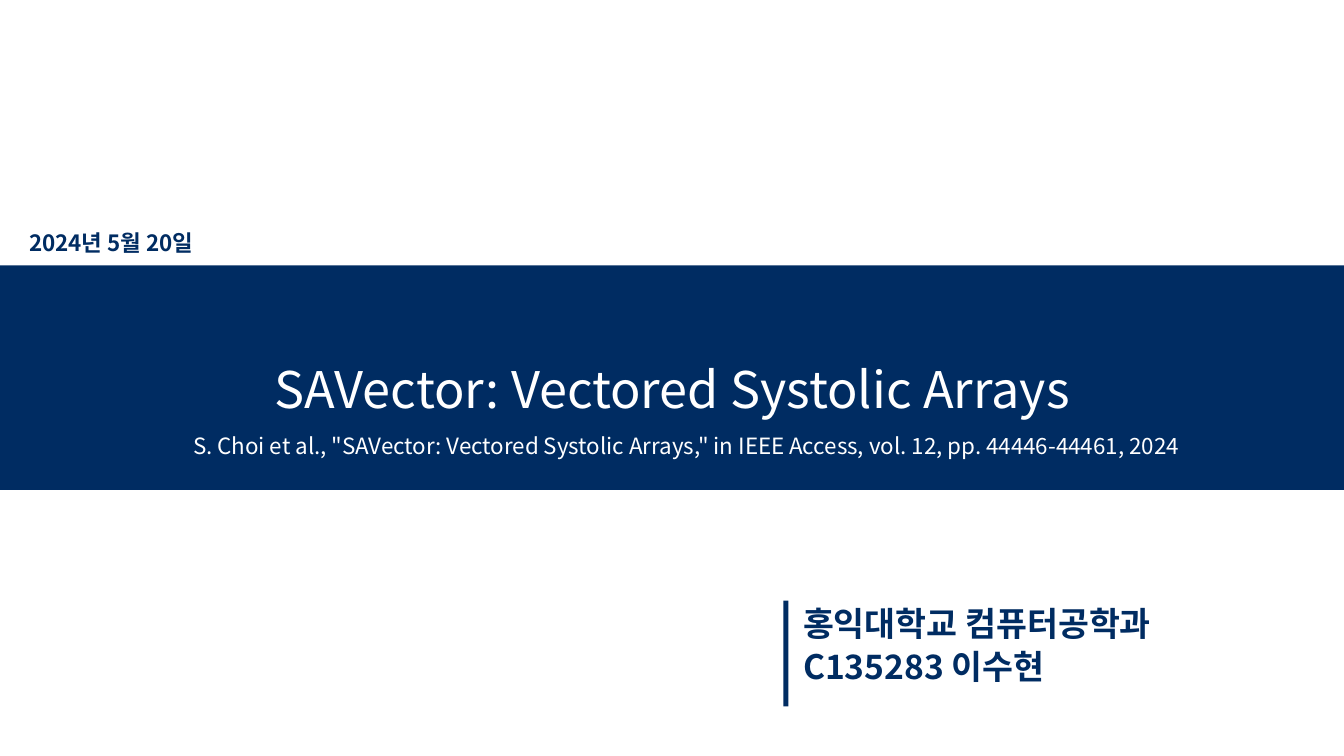
"""Builds the title slide of a talk on vectored systolic arrays."""
from pptx import Presentation
from pptx.dml.color import RGBColor
from pptx.enum.shapes import MSO_SHAPE as Shape
from pptx.enum.text import MSO_ANCHOR as Anchor, MSO_AUTO_SIZE as AutoSize, PP_ALIGN as Align
from pptx.oxml.ns import qn
from pptx.util import Pt

NAVY = RGBColor(0x00, 0x2C, 0x62)
WHITE = RGBColor(0xFF, 0xFF, 0xFF)
FONT = "Noto Sans CJK KR"


def place(box, left, top, width, height):
    box.left, box.top, box.width, box.height = Pt(left), Pt(top), Pt(width), Pt(height)


def write(box, lines, size, color, bold, align, anchor):
    frame = box.text_frame
    frame.word_wrap = True
    frame.auto_size = AutoSize.NONE
    frame.vertical_anchor = anchor
    for index, line in enumerate(lines):
        para = frame.add_paragraph() if index else frame.paragraphs[0]
        para.alignment = align
        para.line_spacing = 0.9 if len(lines) > 1 else 1.0
        para.space_before = Pt(4.5 if index else 0)
        span = para.add_run()
        span.text = line
        span.font.name = FONT
        span.font.size = Pt(size)
        span.font.bold = bold
        span.font.color.rgb = color
        east_asian = span.font._element.makeelement(qn("a:ea"), {"typeface": FONT})
        span.font._element.find(qn("a:latin")).addnext(east_asian)


deck = Presentation()
deck.slide_width, deck.slide_height = Pt(960), Pt(540)
page = deck.slides.add_slide(deck.slide_layouts[0])
title, citation = page.placeholders

for left, top, width, height in [(0, 189.5, 960, 160.5), (559.5, 429, 3.6, 75.6)]:
    bar = page.shapes.add_shape(Shape.RECTANGLE, Pt(left), Pt(top), Pt(width), Pt(height))
    bar.shadow.inherit = False
    bar.fill.solid()
    bar.fill.fore_color.rgb = NAVY
    bar.line.fill.background()
    title.element.addprevious(bar.element)

place(title, 99.4, 252, 761.8, 51)
write(title, ["SAVector: Vectored Systolic Arrays"], 36, WHITE, False, Align.CENTER, Anchor.MIDDLE)

place(citation, 109.4, 305.3, 761.8, 26.6)
write(citation, ['S. Choi et al., "SAVector: Vectored Systolic Arrays," in IEEE Access, '
                 "vol. 12, pp. 44446-44461, 2024"], 16, WHITE, False, Align.CENTER, Anchor.MIDDLE)

date = page.shapes.add_textbox(Pt(13.7), Pt(159.8), Pt(288), Pt(31.7))
write(date, ["2024년 5월 20일"], 16, NAVY, True, Align.LEFT, Anchor.TOP)

author = page.shapes.add_textbox(Pt(566.6), Pt(430.6), Pt(288), Pt(75.6))
write(author, ["홍익대학교 컴퓨터공학과", "C135283 이수현"], 24, NAVY, True, Align.LEFT, Anchor.TOP)

deck.save("out.pptx")
